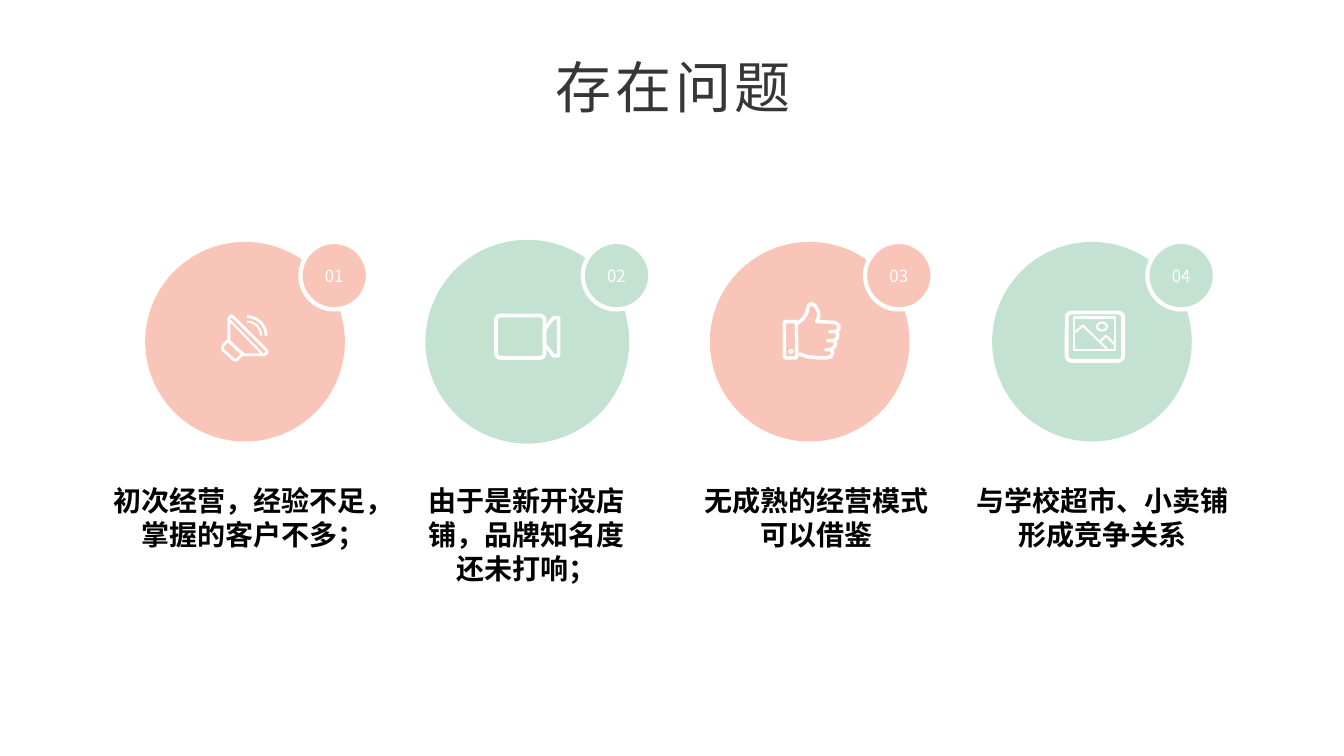
from lxml.etree import SubElement
from pptx import Presentation
from pptx.dml.color import RGBColor
from pptx.enum.shapes import MSO_SHAPE as Shape
from pptx.enum.text import MSO_ANCHOR as Anchor, PP_ALIGN as Align
from pptx.oxml.ns import qn
from pptx.util import Inches, Pt

FONT = "Noto Sans CJK SC"
COLORS = {"pink": "F9C5B8", "green": "C3E2D2", "white": "FFFFFF",
          "black": "000000", "title": "373536"}

TITLE = "存在问题"
# Text, its left edge and width, circle colour, circle outline width
PROBLEMS = [
    ("初次经营，经验不足，掌握的客户不多；", 1.11, 2.81, "pink", 0),
    ("由于是新开设店铺，品牌知名度还未打响；", 4.13, 2.19, "green", 3),
    ("无成熟的经营模式可以借鉴", 6.89, 2.42, "pink", 0),
    ("与学校超市、小卖铺形成竞争关系", 9.68, 2.51, "green", 0),
]

# Icon strokes, in inches from the circle's corner.
# Preset: (shape, (left, top, width, height), line width)
# Outline: ("open" or "closed", points, line width)
SPEAKER = [
    ("closed", [(0.83, 0.98), (0.97, 1.12), (1.18, 1.12), (1.21, 1.1),
                (1.2, 1.07), (0.88, 0.75), (0.85, 0.73), (0.83, 0.76)], 2),
    ("open", [(0.84, 0.78), (1.16, 1.11)], 1.5),
    ("closed", [(0.82, 0.98), (0.77, 1.03), (0.77, 1.07), (0.88, 1.17),
                (0.91, 1.17), (0.97, 1.11)], 2),
    (Shape.ARC, (0.87, 0.79, 0.28, 0.28), 1.5),
    (Shape.ARC, (0.82, 0.74, 0.38, 0.38), 2),
]
CAMERA = [
    (Shape.ROUNDED_RECTANGLE, (0.68, 0.73, 0.48, 0.42), 2.75),
    ("closed", [(1.16, 0.87), (1.25, 0.75), (1.3, 0.75), (1.3, 1.13),
                (1.25, 1.13), (1.16, 1.01)], 2.5),
]
THUMB = [
    (Shape.ROUNDED_RECTANGLE, (0.74, 0.79, 0.12, 0.36), 2.5),
    (Shape.OVAL, (0.79, 1.07, 0.03, 0.03), 1.5),
    ("open", [(0.86, 0.81), (0.92, 0.77), (0.96, 0.71), (0.98, 0.63),
              (1.01, 0.61), (1.05, 0.64), (1.08, 0.7), (1.08, 0.74),
              (1.06, 0.79), (1.24, 0.8), (1.28, 0.83), (1.28, 0.87),
              (1.25, 0.89), (1.19, 0.89), (1.25, 0.89), (1.27, 0.92),
              (1.26, 0.96), (1.23, 0.98), (1.17, 0.98), (1.23, 0.98),
              (1.25, 1.01), (1.23, 1.05), (1.2, 1.07), (1.15, 1.07),
              (1.2, 1.07), (1.22, 1.1), (1.2, 1.14), (1.16, 1.15),
              (1.07, 1.15), (0.97, 1.14), (0.88, 1.11)], 2.5),
]
PHOTO = [
    (Shape.ROUNDED_RECTANGLE, (0.74, 0.7, 0.56, 0.48), 2.75),
    (Shape.RECTANGLE, (0.81, 0.75, 0.41, 0.32), 1.5),
    (Shape.OVAL, (1.04, 0.8, 0.1, 0.08), 1.5),
    ("open", [(0.82, 0.9), (0.9, 0.83), (1.14, 1.06)], 1.5),
    ("open", [(1.07, 0.99), (1.13, 0.93), (1.22, 1.02)], 1.5),
]
ICONS = [SPEAKER, CAMERA, THUMB, PHOTO]

# Layout in inches
FIRST_LEFT, TOP, PITCH = 1.44, 2.4, 2.8
CIRCLE, BADGE, BADGE_OFFSET = 1.98, 0.67, 1.54
CAPTION_TOP, CAPTION_HEIGHT = 4.8, 1.01

presentation = Presentation()
presentation.slide_width, presentation.slide_height = Inches(13.33), Inches(7.5)
slide = presentation.slides.add_slide(presentation.slide_layouts[6])


def rgb(name):
    return RGBColor.from_string(COLORS[name])


def paint(shape, fill=None, line=None, width=0):
    shape.shadow.inherit = False
    if fill:
        shape.fill.solid()
        shape.fill.fore_color.rgb = rgb(fill)
    else:
        shape.fill.background()
    if width:
        shape.line.color.rgb = rgb(line)
        shape.line.width = Pt(width)
        SubElement(shape.line._get_or_add_ln(), qn("a:round"))
    else:
        shape.line.fill.background()


def add_preset(kind, left, top, width, height):
    return slide.shapes.add_shape(kind, *map(Inches, (left, top, width, height)))


def write(shape, text, size, color, bold=False, spacing=0, anchor=Anchor.TOP):
    frame = shape.text_frame
    frame.word_wrap = True
    frame.vertical_anchor = anchor
    frame.margin_left = frame.margin_right = 0
    frame.margin_top = frame.margin_bottom = 0
    paragraph = frame.paragraphs[0]
    paragraph.text = text
    paragraph.alignment = Align.CENTER
    font = paragraph.font
    font.size, font.bold, font.name = Pt(size), bold, FONT
    font.color.rgb = rgb(color)
    properties = paragraph._p.pPr.find(qn("a:defRPr"))
    SubElement(properties, qn("a:ea"), typeface=FONT)
    if spacing:
        properties.set("spc", str(round(spacing * 100)))


def add_text(left, top, width, height, *args, **options):
    box = slide.shapes.add_textbox(*map(Inches, (left, top, width, height)))
    write(box, *args, **options)


def draw_icon(strokes, left, top):
    for kind, geometry, width in strokes:
        if kind in ("open", "closed"):
            points = [(Inches(left + x), Inches(top + y)) for x, y in geometry]
            builder = slide.shapes.build_freeform(*points[0])
            builder.add_line_segments(points[1:], close=kind == "closed")
            shape = builder.convert_to_shape()
        else:
            x, y, w, h = geometry
            shape = add_preset(kind, left + x, top + y, w, h)
            if kind == Shape.ROUNDED_RECTANGLE:
                shape.adjustments[0] = 0.1
        paint(shape, line="white", width=width)


# Title
add_text(5.05, 0.52, 3.26, 0.67, TITLE, 40, "title", spacing=2.7)

# Problems: circle, icon, numbered badge and caption
for index, (text, text_left, text_width, color, outline) in enumerate(PROBLEMS):
    left = FIRST_LEFT + index * PITCH
    circle = add_preset(Shape.OVAL, left, TOP, CIRCLE, CIRCLE)
    paint(circle, color, color, outline)
    draw_icon(ICONS[index], left, TOP)
    badge = add_preset(Shape.OVAL, left + BADGE_OFFSET, TOP, BADGE, BADGE)
    paint(badge, color, "white", 3)
    write(badge, f"{index + 1:02}", 12, "white", anchor=Anchor.MIDDLE)
    add_text(text_left, CAPTION_TOP, text_width, CAPTION_HEIGHT,
             text, 20, "black", bold=True)

presentation.save("out.pptx")
